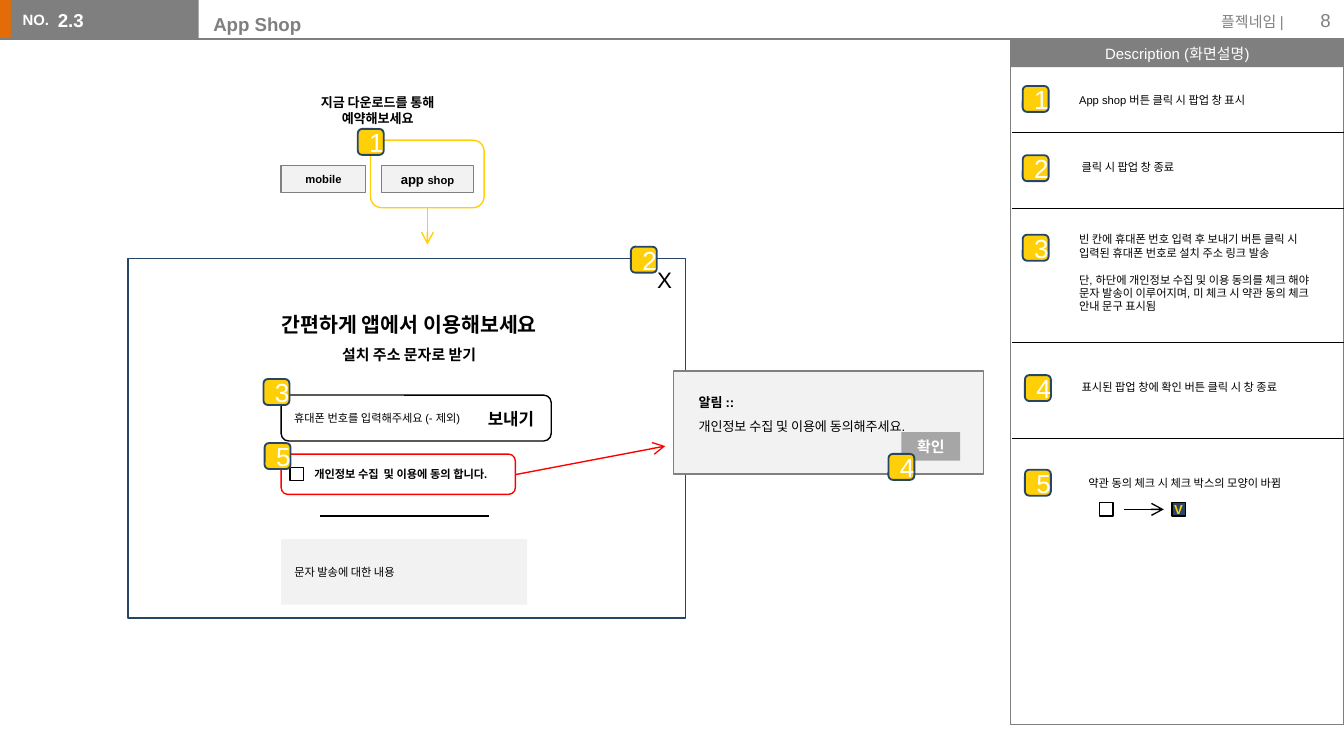
"""Build the app shop popup screen specification slide."""
from dataclasses import dataclass
from typing import Optional

from pptx import Presentation
from pptx.dml.color import RGBColor
from pptx.enum.shapes import MSO_CONNECTOR, MSO_SHAPE
from pptx.enum.text import MSO_ANCHOR, MSO_AUTO_SIZE, PP_ALIGN
from pptx.oxml.ns import qn
from pptx.util import Pt
from lxml.etree import SubElement

RECT, ROUND = MSO_SHAPE.RECTANGLE, MSO_SHAPE.ROUNDED_RECTANGLE
LEFT, CENTER, RIGHT = PP_ALIGN.LEFT, PP_ALIGN.CENTER, PP_ALIGN.RIGHT


@dataclass(frozen=True)
class Theme:
    font: str = "Arial"
    black: RGBColor = RGBColor(0x00, 0x00, 0x00)
    white: RGBColor = RGBColor(0xFF, 0xFF, 0xFF)
    orange: RGBColor = RGBColor(0xE3, 0x6C, 0x09)
    header: RGBColor = RGBColor(0x7F, 0x7F, 0x7F)
    border: RGBColor = RGBColor(0x80, 0x80, 0x80)
    button: RGBColor = RGBColor(0xA6, 0xA6, 0xA6)
    pale: RGBColor = RGBColor(0xF2, 0xF2, 0xF2)
    navy: RGBColor = RGBColor(0x27, 0x46, 0x66)
    yellow: RGBColor = RGBColor(0xFF, 0xCF, 0x07)
    red: RGBColor = RGBColor(0xFF, 0x00, 0x00)
    note: float = 6
    body: float = 7
    label: float = 8
    send: float = 9
    title: float = 10
    heading: float = 11
    close: float = 12
    badge: float = 14


T = Theme()


@dataclass(frozen=True)
class Style:
    size: float = T.note
    color: RGBColor = T.black
    bold: bool = False
    align: PP_ALIGN = LEFT
    spacing: Optional[float] = None


@dataclass(frozen=True)
class Box:
    left: float
    top: float
    width: float
    height: float
    fill: Optional[RGBColor] = None
    line: Optional[RGBColor] = None
    text: str = ""
    style: Style = Style()
    kind: MSO_SHAPE = RECT
    weight: float = 0.75


@dataclass(frozen=True)
class Label:
    left: float
    top: float
    width: float
    height: float
    text: str
    style: Style = Style()
    wrap: bool = False
    anchor: MSO_ANCHOR = MSO_ANCHOR.TOP
    inset: float = 7.2


@dataclass(frozen=True)
class Rule:
    x1: float
    y1: float
    x2: float
    y2: float
    color: RGBColor = T.black
    weight: float = 0.75
    arrow: bool = False


def write(tf, text: str, style: Style) -> None:
    tf.text = text
    for p in tf.paragraphs:
        p.alignment = style.align
        if style.spacing:
            p.line_spacing = style.spacing
        for r in p.runs:
            r.font.name = T.font
            r.font.size = Pt(style.size)
            r.font.bold = style.bold
            r.font.color.rgb = style.color


def draw_box(slide, box: Box):
    sp = slide.shapes.add_shape(box.kind, Pt(box.left), Pt(box.top), Pt(box.width), Pt(box.height))
    sp.shadow.inherit = False
    if box.fill is None:
        sp.fill.background()
    else:
        sp.fill.solid()
        sp.fill.fore_color.rgb = box.fill
    if box.line is None:
        sp.line.fill.background()
    else:
        sp.line.color.rgb = box.line
        sp.line.width = Pt(box.weight)
    if box.text:
        sp.text_frame.vertical_anchor = MSO_ANCHOR.MIDDLE
        write(sp.text_frame, box.text, box.style)
    return sp


def draw_label(slide, label: Label):
    sp = slide.shapes.add_textbox(Pt(label.left), Pt(label.top), Pt(label.width), Pt(label.height))
    tf = sp.text_frame
    tf.word_wrap = label.wrap
    tf.auto_size = MSO_AUTO_SIZE.NONE if label.wrap else MSO_AUTO_SIZE.SHAPE_TO_FIT_TEXT
    tf.vertical_anchor = label.anchor
    tf.margin_left = tf.margin_right = Pt(label.inset)
    write(tf, label.text, label.style)
    return sp


def draw_rule(slide, rule: Rule) -> None:
    sp = slide.shapes.add_connector(
        MSO_CONNECTOR.STRAIGHT, Pt(rule.x1), Pt(rule.y1), Pt(rule.x2), Pt(rule.y2))
    sp.line.color.rgb = rule.color
    sp.line.width = Pt(rule.weight)
    if rule.arrow:
        SubElement(sp._element.spPr.find(qn("a:ln")), qn("a:tailEnd"), type="arrow")
    SubElement(sp._element.spPr, qn("a:effectLst"))


def draw_badge(slide, number: int, left: float, top: float) -> None:
    style = Style(T.badge, T.white, align=CENTER)
    draw_box(slide, Box(left, top, 13.9, 13.9, T.yellow, T.navy, str(number), style, ROUND, 1))


BOLD_CENTER = Style(T.note, bold=True, align=CENTER)
BOXES = (
    Box(-0.7, 0, 8.6, 20.9, T.orange),
    Box(5.8, 0, 100.6, 20.9, T.header),
    Box(541.4, 20.9, 178.6, 15.1, T.header, None, "Description (화면설명)",
        Style(T.label, T.white, align=CENTER)),
    Box(541.4, 20.9, 178.6, 367.4, None, T.header),
    Box(150.6, 88.8, 45.4, 14.3, T.pale, T.border, "mobile", BOLD_CENTER),
    Box(198.5, 75.1, 60.9, 36.2, None, T.yellow, kind=ROUND),
    Box(68.5, 138.5, 298.9, 192.6, None, T.navy),
    Box(150.6, 211.7, 144.7, 24.6, None, T.black, kind=ROUND),
    Box(155.3, 250.4, 7.2, 7.2, None, T.black),
    Box(150.6, 288.9, 131.8, 35.1, T.pale, None, "문자 발송에 대한 내용"),
    Box(360.7, 198.7, 166.2, 55.2, T.pale, T.border),
    Box(482.9, 231.6, 31.5, 15.2, T.button, None, "확인",
        Style(T.label, T.white, True, CENTER)),
    Box(150.6, 243.3, 125.5, 21.6, None, T.red, kind=ROUND),
    Box(627.8, 269.3, 7.2, 7.2, T.navy, T.black, "V", Style(T.body, T.yellow, True, CENTER)),
    Box(589, 269.3, 7.2, 7.2, None, T.black),
)
LABELS = (
    Label(5, 2.2, 29.5, 17.3, "NO.", Style(T.label, T.white, True)),
    Label(31, 1, 79.2, 22.3, "2.3", Style(T.title, T.white, True), True, inset=0),
    Label(643, 3.2, 51.8, 17.3, "플젝네임 |", Style(T.label, T.header, align=RIGHT), True),
    Label(676.8, 0, 43.2, 21.6, "8", Style(T.title, T.header, align=RIGHT), True,
          MSO_ANCHOR.MIDDLE),
    Label(159.1, 47.2, 86.4, 35.3, "지금 다운로드를 통해\n예약해보세요",
          Style(T.body, bold=True, align=CENTER), True),
    Label(150.5, 216.7, 112.3, 14.4, "휴대폰 번호를 입력해주세요 (- 제외)"),
    Label(254.2, 215.3, 41.8, 18, "보내기", Style(T.send, bold=True)),
    Label(344.9, 139, 22.3, 21.6, "X", Style(T.close)),
    Label(161.3, 247, 115.2, 14.4, "개인정보 수집  및 이용에 동의 합니다.", Style(bold=True)),
    Label(571, 46.4, 110.9, 14.4, "App shop 버튼 클릭 시 팝업 창 표시"),
    Label(572.4, 82.6, 69.8, 14.4, "클릭 시 팝업 창 종료"),
    Label(572.4, 200.2, 130.3, 14.4, "표시된 팝업 창에 확인 버튼 클릭 시 창 종료"),
    Label(576, 251.6, 128.9, 14.4, "약관 동의 체크 시 체크 박스의 모양이 바뀜"),
)
RULES = (
    Rule(0, 20.9, 551.5, 20.9, T.header),
    Rule(229, 111.6, 229, 131, T.yellow, arrow=True),
    Rule(171.4, 276.5, 262.1, 276.5),
    Rule(276.5, 254.2, 356.4, 239, T.red, arrow=True),
    Rule(601.9, 272.9, 623.5, 272.9, arrow=True),
    *(Rule(542.2, y, 720, y, weight=0.25) for y in (70.6, 111.6, 183.6, 234.7)),
)
BADGES = (
    (1, 191.7, 69.1), (2, 338, 132.2), (3, 141.2, 203.1), (4, 476, 243.2), (5, 141.8, 237.4),
    (1, 547.9, 46.1), (2, 547.9, 83.2), (3, 547.9, 125.8), (4, 549.1, 201), (5, 549.1, 251.7),
)


def build() -> None:
    prs = Presentation()
    prs.slide_width, prs.slide_height = Pt(720), Pt(405)
    slide = prs.slides.add_slide(prs.slide_layouts[5])

    title = slide.shapes.title
    title.left, title.top, title.width, title.height = Pt(107.1), Pt(-0.4), Pt(404), Pt(23)
    tf = title.text_frame
    tf.margin_left = tf.margin_right = tf.margin_top = tf.margin_bottom = Pt(7.2)
    tf.vertical_anchor = MSO_ANCHOR.TOP
    tf.auto_size = MSO_AUTO_SIZE.NONE
    write(tf, "App Shop", Style(T.title, T.header, True))

    for box in BOXES:
        draw_box(slide, box)
    for label in LABELS:
        draw_label(slide, label)

    shop = draw_box(slide, Box(204.4, 88.8, 49.3, 14.3, T.pale, T.border, "app ",
                               Style(T.body, bold=True, align=CENTER)))
    r = shop.text_frame.paragraphs[0].add_run()
    r.text = "shop"
    r.font.name, r.font.size, r.font.bold = T.font, Pt(T.note), True
    r.font.color.rgb = T.black

    heading = draw_label(slide, Label(
        126, 157, 186.5, 41.8, "간편하게 앱에서 이용해보세요\n설치 주소 문자로 받기",
        Style(T.heading, bold=True, align=CENTER, spacing=1.5), True))
    heading.text_frame.paragraphs[1].runs[0].font.size = Pt(T.label)

    alert = draw_label(slide, Label(
        367.2, 203.8, 137.5, 32.4, "알림 ::\n개인정보 수집 및 이용에 동의해주세요.",
        Style(T.body, spacing=1.5)))
    alert.text_frame.paragraphs[0].runs[0].font.bold = True

    sending = draw_label(slide, Label(
        571, 121, 150.5, 51.1,
        "빈 칸에 휴대폰 번호 입력 후 보내기 버튼 클릭 시\n입력된 휴대폰 번호로 설치 주소 링크 발송\n"
        "단, 하단에 개인정보 수집 및 이용 동의를 체크 해야\n"
        "문자 발송이 이루어지며, 미 체크 시 약관 동의 체크\n안내 문구 표시됨"))
    sending.text_frame.paragraphs[2].space_before = Pt(7.2)

    for rule in RULES:
        draw_rule(slide, rule)
    for number, left, top in BADGES:
        draw_badge(slide, number, left, top)
    prs.save("out.pptx")


build()
